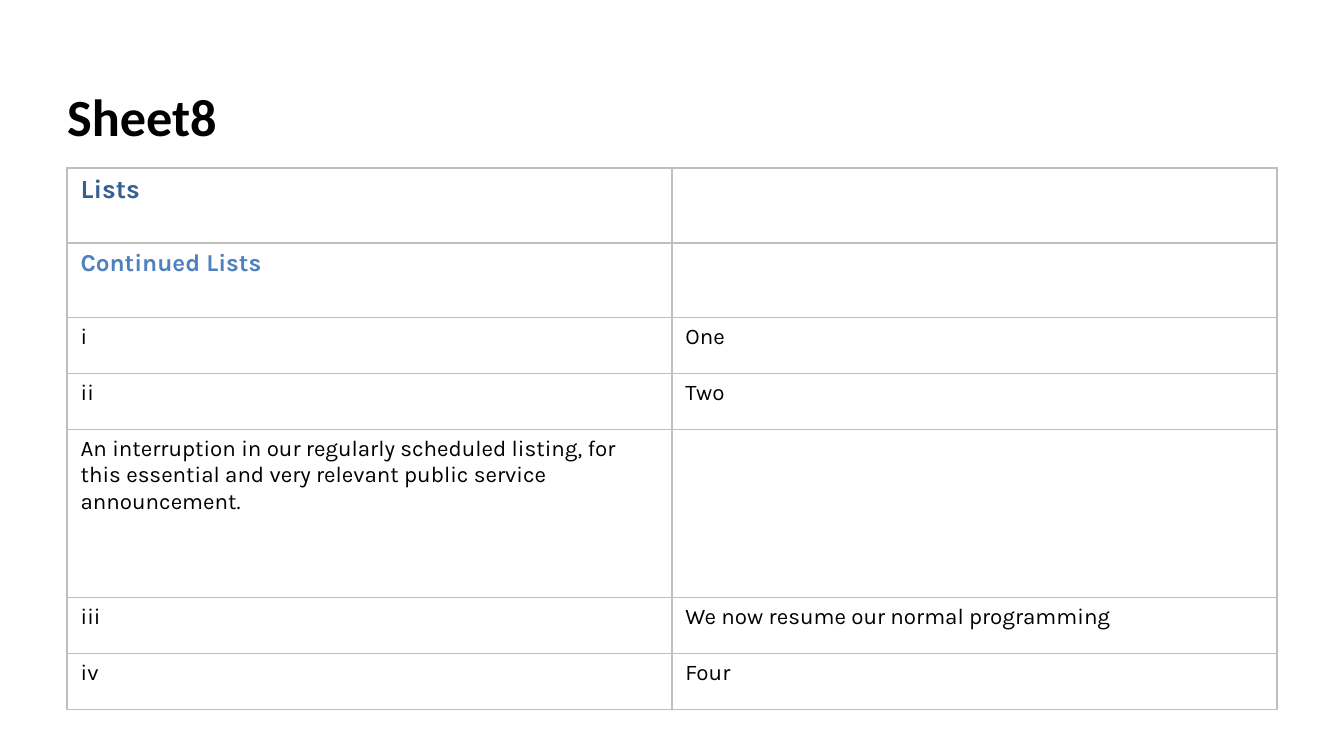
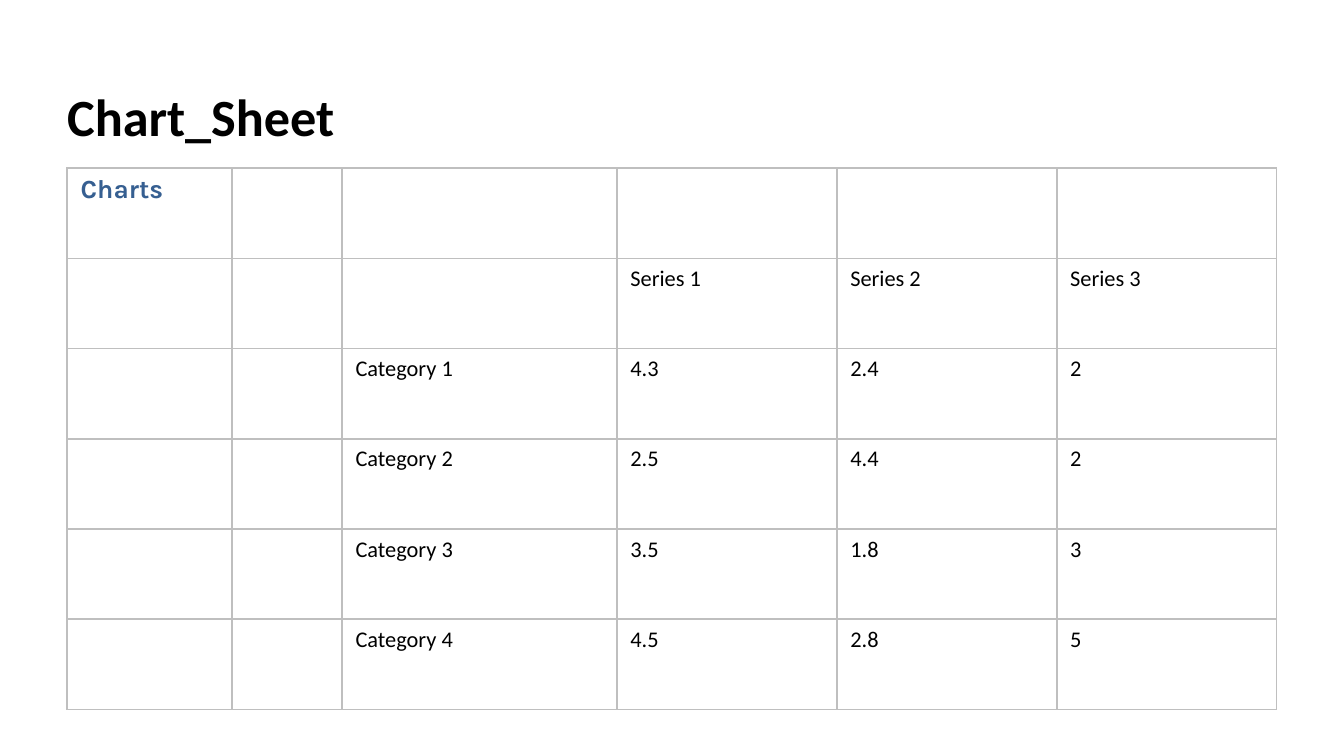
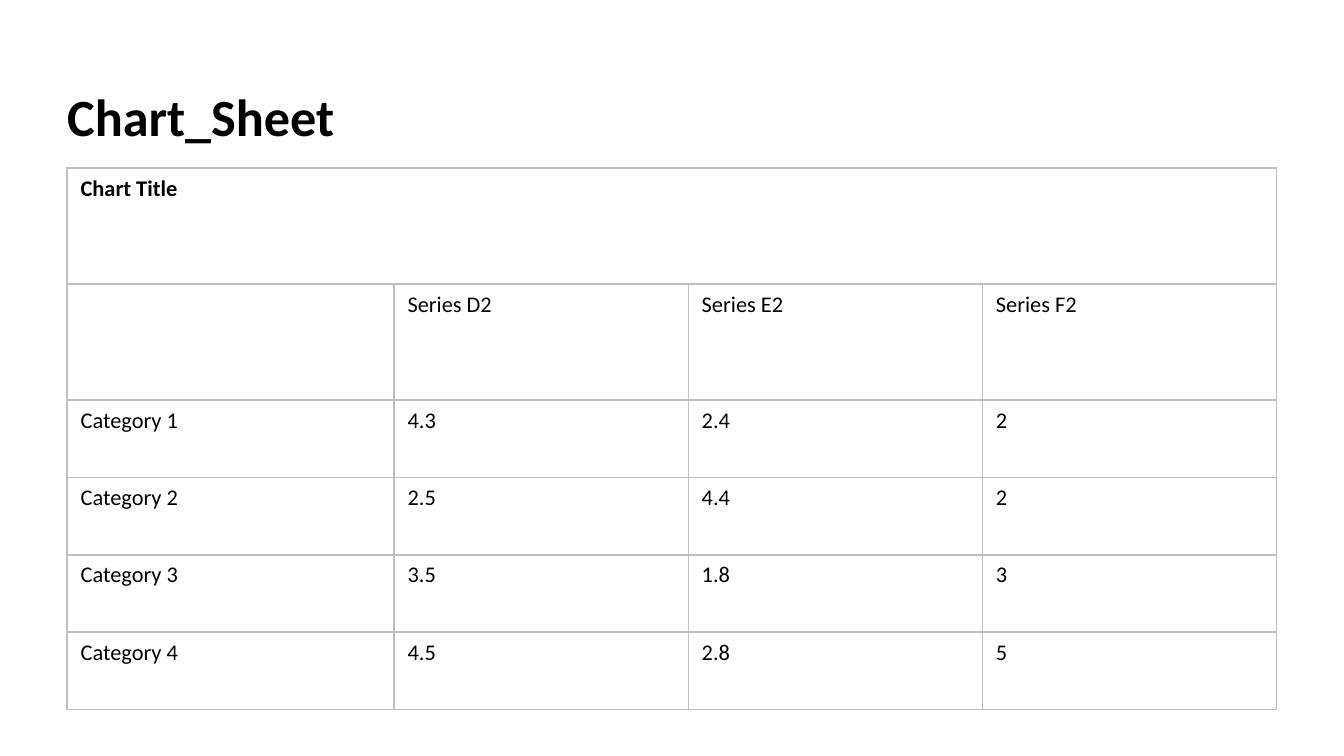
from lxml.etree import SubElement
from pptx import Presentation
from pptx.dml.color import RGBColor
from pptx.enum.text import MSO_ANCHOR
from pptx.oxml.ns import qn
from pptx.util import Cm, Pt

MARGIN = 1.27
CONTENT_WIDTH = 22.86
TABLE_TOP = 3.18
TABLE_HEIGHT = 10.23
BORDER_COLOUR = "BFBFBF"
BORDER_WIDTH = Pt(1)

TITLE = {"name": "Calibri", "size": Pt(28), "bold": True, "color": "000000"}
HEADING = {"name": "Karla", "size": Pt(14), "bold": True, "color": "365F91"}
SUBHEADING = HEADING | {"size": Pt(13), "color": "4F81BD"}
LIST_BODY = {"name": "Karla", "size": Pt(12), "bold": False, "color": "000000"}
DATA_BODY = LIST_BODY | {"name": "Calibri"}
CHART_TITLE = DATA_BODY | {"bold": True}

LIST_ROWS = [
    ["Lists", ""],
    ["Continued Lists", ""],
    ["i", "One"],
    ["ii", "Two"],
    ["An interruption in our regularly scheduled listing, for this essential "
     "and very relevant public service announcement.", ""],
    ["iii", "We now resume our normal programming"],
    ["iv", "Four"],
]
CATEGORY_ROWS = [
    ["Category 1", "4.3", "2.4", "2"],
    ["Category 2", "2.5", "4.4", "2"],
    ["Category 3", "3.5", "1.8", "3"],
    ["Category 4", "4.5", "2.8", "5"],
]


def colour(hex_code):
    """Turn a hex string into a colour."""
    return RGBColor.from_string(hex_code)


def write(frame, text, style):
    """Write one styled run into a text frame."""
    run = frame.paragraphs[0].add_run()
    run.text = text
    for attribute, value in style.items():
        if attribute == "color":
            run.font.color.rgb = colour(value)
        else:
            setattr(run.font, attribute, value)


def add_title(slide, text):
    """Add the sheet name above the table."""
    box = slide.shapes.add_textbox(Cm(MARGIN), Cm(0.79), Cm(CONTENT_WIDTH), Cm(1.98))
    frame = box.text_frame
    layout = {"word_wrap": True, "vertical_anchor": MSO_ANCHOR.BOTTOM,
              "margin_left": 0, "margin_top": 0, "margin_right": 0, "margin_bottom": 0}
    for attribute, value in layout.items():
        setattr(frame, attribute, value)
    write(frame, text, TITLE)


def outline(cell):
    """Draw the grey border on all four sides of a cell."""
    properties = cell._tc.get_or_add_tcPr()
    for side in ("a:lnL", "a:lnR", "a:lnT", "a:lnB"):
        line = SubElement(properties, qn(side), w=str(BORDER_WIDTH))
        fill = SubElement(line, qn("a:solidFill"))
        SubElement(fill, qn("a:srgbClr"), val=BORDER_COLOUR)


def share(tracks, weights, total):
    """Divide a length among rows or columns by weight."""
    for track, weight in zip(tracks, weights):
        size = Cm(total * weight / sum(weights))
        if hasattr(track, "width"):
            track.width = size
        else:
            track.height = size


def add_sheet_table(slide, rows, column_weights, row_weights, body, headings):
    """Add a bordered table; a row with one entry spans all columns."""
    table = slide.shapes.add_table(
        len(rows), len(column_weights), Cm(MARGIN), Cm(TABLE_TOP),
        Cm(CONTENT_WIDTH), Cm(TABLE_HEIGHT)).table
    table.first_row = table.horz_banding = False
    share(table.columns, column_weights, CONTENT_WIDTH)
    share(table.rows, row_weights, TABLE_HEIGHT)
    for cell in table.iter_cells():
        outline(cell)
        cell.fill.background()
    for row_index, entries in enumerate(rows):
        if len(entries) == 1:
            table.cell(row_index, 0).merge(table.cell(row_index, len(column_weights) - 1))
        for column_index, text in enumerate(entries):
            if text:
                write(table.cell(row_index, column_index).text_frame, text,
                      headings.get(row_index, body))


def add_sheet(deck, title, *table_parts):
    """Add a slide with a sheet name and its table."""
    slide = deck.slides.add_slide(deck.slide_layouts[6])
    add_title(slide, title)
    add_sheet_table(slide, *table_parts)


def main():
    """Build the three sheets and save them."""
    deck = Presentation()
    deck.slide_width, deck.slide_height = Cm(25.4), Cm(14.29)

    add_sheet(deck, "Sheet8", LIST_ROWS, [1, 1], [4, 4, 3, 3, 9, 3, 3],
              LIST_BODY, {0: HEADING, 1: SUBHEADING})

    indent = ["", ""]
    series_rows = [["Charts"] + [""] * 5,
                   indent + ["", "Series 1", "Series 2", "Series 3"]]
    series_rows += [indent + row for row in CATEGORY_ROWS]
    add_sheet(deck, "Chart_Sheet", series_rows, [6, 4, 10, 8, 8, 8], [1] * 6,
              DATA_BODY, {0: HEADING})

    titled_rows = [["Chart Title"], ["", "Series D2", "Series E2", "Series F2"]]
    add_sheet(deck, "Chart_Sheet", titled_rows + CATEGORY_ROWS, [10, 9, 9, 9],
              [3, 3, 2, 2, 2, 2], DATA_BODY, {0: CHART_TITLE})

    deck.save("out.pptx")


if __name__ == "__main__":
    main()
